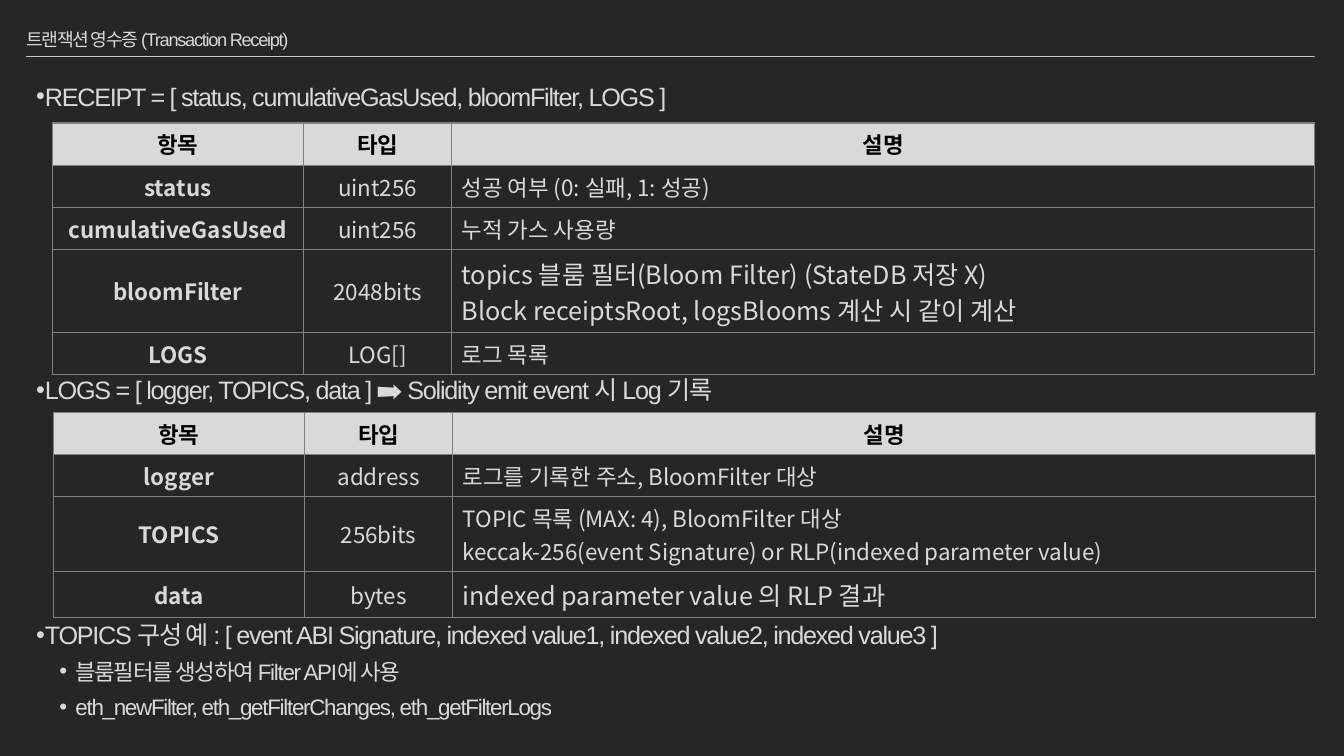
"""Build the transaction receipt slide with its two field tables."""
import pptx
import pptx.dml.color
import pptx.enum.shapes
import pptx.enum.text
import pptx.oxml
import pptx.oxml.ns
import pptx.util
from lxml import etree

Inches, Pt = pptx.util.Inches, pptx.util.Pt
RGBColor = pptx.dml.color.RGBColor
ALIGN, ANCHOR = pptx.enum.text.PP_ALIGN, pptx.enum.text.MSO_ANCHOR
qn = pptx.oxml.ns.qn

BACKGROUND = RGBColor(0x26, 0x26, 0x26)
LIGHT = RGBColor(0xD9, 0xD9, 0xD9)
BLACK = RGBColor(0, 0, 0)
RULE = RGBColor(0xF2, 0xF2, 0xF2)
BORDER = RGBColor(0x80, 0x80, 0x80)
SANS, CJK = "Arial", "Noto Sans CJK KR"

TITLE = "트랜잭션 영수증 (Transaction Receipt)"
SECTIONS = [
    (0.74, [("RECEIPT = [ status, cumulativeGasUsed, bloomFilter, LOGS ]", 0)]),
    (3.65, [("LOGS = [ logger, TOPICS, data ] ➡ Solidity emit event 시 Log 기록", 0)]),
    (6.08, [
        ("TOPICS 구성 예 : [ event ABI Signature, indexed value1, indexed value2, indexed value3 ]", 0),
        ("블룸필터를 생성하여 Filter API에 사용", 1),
        ("eth_newFilter, eth_getFilterChanges, eth_getFilterLogs", 1),
    ]),
]
LEVELS = [dict(size=18, indent=0, before=10), dict(size=16, indent=0.39, before=5)]
HEADER = ("항목", "타입", ["설명"], 16)
COLUMNS = (2.49, 1.47, 8.56)
TABLES = [
    (0.52, 1.22, [
        HEADER,
        ("status", "uint256", ["성공 여부 (0: 실패, 1: 성공)"], 16),
        ("cumulativeGasUsed", "uint256", ["누적 가스 사용량"], 16),
        ("bloomFilter", "2048bits", ["topics 블룸 필터(Bloom Filter) (StateDB 저장 X)",
                                     "Block receiptsRoot, logsBlooms 계산 시 같이 계산"], 18),
        ("LOGS", "LOG[]", ["로그 목록"], 16),
    ]),
    (0.53, 4.09, [
        HEADER,
        ("logger", "address", ["로그를 기록한 주소, BloomFilter 대상"], 16),
        ("TOPICS", "256bits", ["TOPIC 목록 (MAX: 4), BloomFilter 대상",
                               "keccak-256(event Signature) or RLP(indexed parameter value)"], 16),
        ("data", "bytes", ["indexed parameter value 의 RLP 결과"], 18),
    ]),
]
LINE_FACTOR = 1.44
CELL_PADDING = 0.1


def write(p, text, size, font=SANS, color=LIGHT, bold=False, align=ALIGN.LEFT,
          spacing=None, line=None, before=0, indent=None):
    """Put formatted text into a paragraph, with a bullet when indent is given."""
    if indent is not None:
        pPr = p._p.get_or_add_pPr()
        pPr.set("marL", str(Inches(indent)))
        pPr.set("indent", str(Inches(-0.16)))
        etree.SubElement(pPr, qn("a:buFont")).set("typeface", SANS)
        etree.SubElement(pPr, qn("a:buChar")).set("char", "•")
    p.alignment = align
    p.space_before = Pt(before)
    if line:
        p.line_spacing = line
    r = p.add_run()
    r.text = text
    r.font.size, r.font.bold, r.font.name = Pt(size), bold, font
    r.font.color.rgb = color
    rPr = r._r.get_or_add_rPr()
    etree.SubElement(rPr, qn("a:ea")).set("typeface", CJK)
    if spacing:
        rPr.set("spc", str(round(spacing * 100)))


def add_box(s, left, top, width, height):
    """Add a wrapping text box and return its text frame."""
    tf = s.shapes.add_textbox(Inches(left), Inches(top), Inches(width), Inches(height)).text_frame
    tf.word_wrap = True
    return tf


def set_borders(cell):
    """Draw a thin line on all four sides of a cell."""
    tcPr = cell._tc.get_or_add_tcPr()
    for i, side in enumerate(("lnL", "lnR", "lnT", "lnB")):
        ln = pptx.oxml.parse_xml(
            f'<a:{side} {pptx.oxml.ns.nsdecls("a")} w="{Pt(1)}"><a:solidFill>'
            f'<a:srgbClr val="{BORDER}"/></a:solidFill></a:{side}>')
        tcPr.insert(i, ln)


def add_fields(s, left, top, rows):
    """Add a table of fields with a light header row."""
    heights = [len(row[2]) * row[3] * LINE_FACTOR / 72 + CELL_PADDING for row in rows]
    table = s.shapes.add_table(len(rows), len(COLUMNS), Inches(left), Inches(top),
                               Inches(sum(COLUMNS)), Inches(sum(heights))).table
    table.horz_banding = False
    for column, width in zip(table.columns, COLUMNS):
        column.width = Inches(width)
    for i, (name, kind, notes, size) in enumerate(rows):
        table.rows[i].height = Inches(heights[i])
        header = i == 0
        for j, lines in enumerate(([name], [kind], notes)):
            cell = table.cell(i, j)
            cell.vertical_anchor = ANCHOR.TOP if header else ANCHOR.MIDDLE
            if header:
                cell.fill.solid()
                cell.fill.fore_color.rgb = LIGHT
            else:
                cell.fill.background()
            set_borders(cell)
            tf = cell.text_frame
            for k, text in enumerate(lines):
                write(tf.add_paragraph() if k else tf.paragraphs[0], text,
                      size if j == 2 else 16, font=CJK,
                      color=BLACK if header else LIGHT, bold=header or j == 0,
                      align=ALIGN.CENTER if header or j < 2 else ALIGN.LEFT)


def main():
    """Compose the slide and save it."""
    prs = pptx.Presentation()
    prs.slide_width, prs.slide_height = Inches(13.33), Inches(7.5)
    s = prs.slides.add_slide(prs.slide_layouts[6])
    s.background.fill.solid()
    s.background.fill.fore_color.rgb = BACKGROUND

    rule = s.shapes.add_connector(pptx.enum.shapes.MSO_CONNECTOR.STRAIGHT,
                                  Inches(0.26), Inches(0.56), Inches(13.04), Inches(0.56))
    rule.line.color.rgb, rule.line.width = RULE, Pt(0.5)
    etree.SubElement(rule._element.spPr, qn("a:effectLst"))
    clr = next(rule._element.spPr.iter(qn("a:srgbClr")))
    etree.SubElement(clr, qn("a:alpha")).set("val", "80000")

    tf = add_box(s, 0.26, 0.21, 12.81, 0.35)
    tf.margin_left = tf.margin_right = 0
    tf.vertical_anchor = ANCHOR.MIDDLE
    write(tf.paragraphs[0], TITLE, 13, spacing=-0.9, line=1.05)

    for top, items in SECTIONS:
        tf = add_box(s, 0.26, top, 12.78, 0.1 + 0.38 * len(items))
        for i, (text, level) in enumerate(items):
            style = dict(LEVELS[level])
            if i == 0:
                style["before"] = 0
            write(tf.add_paragraph() if i else tf.paragraphs[0], text,
                  spacing=-0.9, line=1.05, **style)

    for left, top, rows in TABLES:
        add_fields(s, left, top, rows)
    prs.save("out.pptx")


if __name__ == "__main__":
    main()
